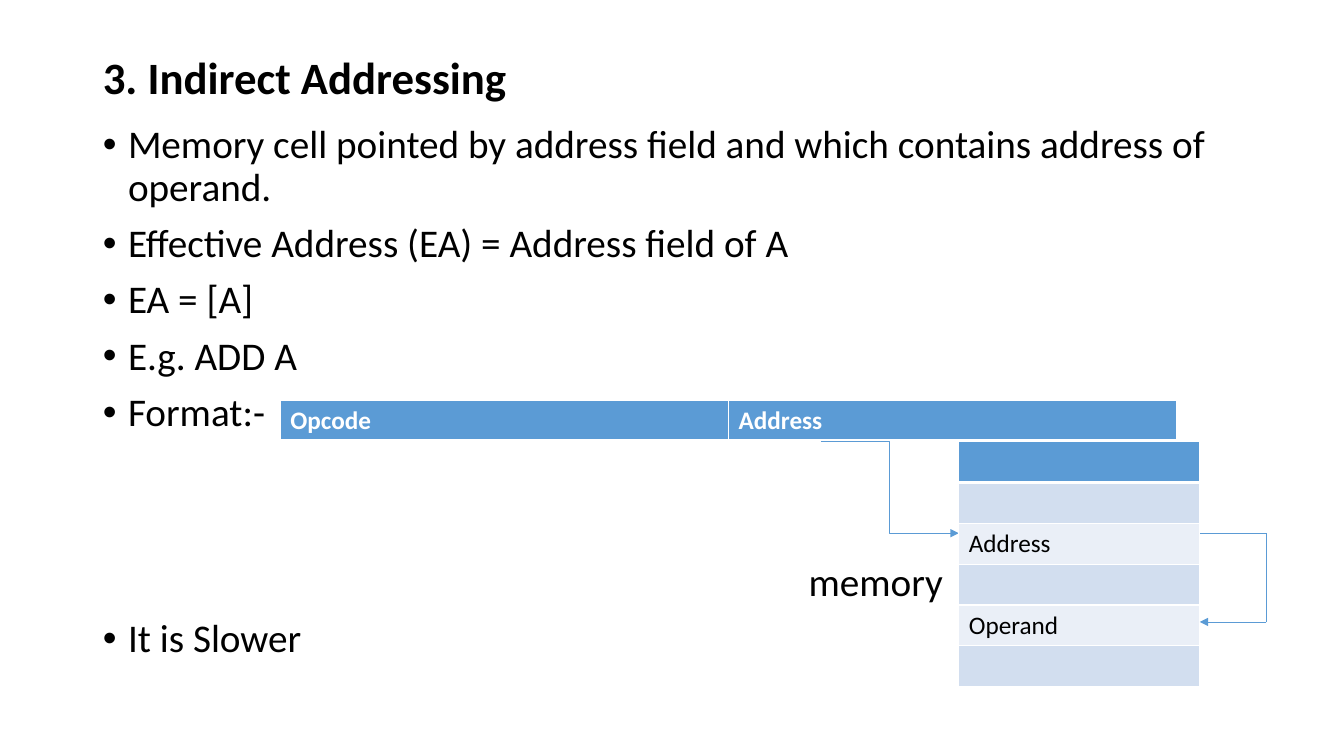
from pptx import Presentation
from pptx.dml.color import RGBColor
from pptx.enum.shapes import MSO_CONNECTOR
from pptx.enum.text import MSO_ANCHOR, MSO_AUTO_SIZE, PP_ALIGN
from pptx.oxml.ns import qn
from pptx.util import Inches, Pt
from lxml.etree import SubElement

SLIDE_WIDTH, SLIDE_HEIGHT = Inches(13.33), Inches(7.5)
FONT = "Calibri"
BLACK = RGBColor(0x00, 0x00, 0x00)
WHITE = RGBColor(0xFF, 0xFF, 0xFF)
BLUE = RGBColor(0x5B, 0x9B, 0xD5)
BANDS = (RGBColor(0xD2, 0xDE, 0xEF), RGBColor(0xEA, 0xEF, 0xF7))

# Positions in percent of the slide's width or height
MARGIN, CONTENT_WIDTH = 6.9, 86.27
TITLE_TOP, TITLE_HEIGHT = 5.33, 10.53
BODY_TOP, BODY_HEIGHT = 15.87, 81.07
FORMAT_LEFT, FORMAT_TOP, FORMAT_WIDTH = 20.86, 52.93, 66.69
MEMORY_LEFT, MEMORY_TOP, MEMORY_WIDTH = 71.34, 58.4, 17.93
MEMORY_RIGHT = MEMORY_LEFT + MEMORY_WIDTH
ROW_HEIGHT = 5.4
POINTER_START, LOOP_RIGHT = 61.07, 94.22
ADDRESS_LEVEL, OPERAND_LEVEL = 70.53, 82.27

# Text, left margin in inches, bullet, space before in points
BODY_LINES = [
    ("Memory cell pointed by address field and which contains address of operand.",
     0.25, True, 0),
    ("Effective Address (EA) = Address field of A", 0.25, True, 10),
    ("EA = [A]", 0.25, True, 10),
    ("E.g. ADD A", 0.25, True, 10),
    ("Format:-", 0.25, True, 10),
    ("memory", 7, False, 91),
    ("It is Slower", 0.25, True, 10),
]
MEMORY_CELLS = ["", "", "Address", "", "Operand", ""]


def across(percent):
    return round(SLIDE_WIDTH * percent / 100)


def down(percent):
    return round(SLIDE_HEIGHT * percent / 100)


def write(para, text, size=18, color=BLACK, bold=False, line_spacing=1.0, before=0):
    para.alignment = PP_ALIGN.LEFT
    para.line_spacing = line_spacing
    para.space_before = Pt(before)
    para.font.size = Pt(size)
    if text:
        span = para.add_run()
        span.text = text
        span.font.name = FONT
        span.font.size = Pt(size)
        span.font.bold = bold
        span.font.color.rgb = color


def set_bullet(para, margin, bullet):
    properties = para._p.get_or_add_pPr()
    properties.set("marL", str(Inches(margin)))
    properties.set("indent", str(Inches(-0.25) if bullet else 0))
    if bullet:
        SubElement(properties, qn("a:buFont")).set("typeface", "Arial")
        SubElement(properties, qn("a:buChar")).set("char", "•")
    else:
        SubElement(properties, qn("a:buNone"))


def place(box, top, height, anchor):
    box.left, box.top = across(MARGIN), down(top)
    box.width, box.height = across(CONTENT_WIDTH), down(height)
    frame = box.text_frame
    frame.word_wrap = True
    frame.auto_size = MSO_AUTO_SIZE.NONE
    frame.vertical_anchor = anchor
    return frame


def set_borders(cell, **widths):
    properties = cell._tc.get_or_add_tcPr()
    for side in "LRTB":
        border = SubElement(properties, qn(f"a:ln{side}"), w=str(Pt(widths.get(side, 1))))
        fill = SubElement(border, qn("a:solidFill"))
        SubElement(fill, qn("a:srgbClr"), val=str(WHITE))


def add_grid(page, rows, left, top, width):
    """Table with a blue heading row and banded rows below it."""
    frame = page.shapes.add_table(len(rows), len(rows[0]), across(left), down(top),
                                  across(width), down(ROW_HEIGHT * len(rows)))
    table = frame.table
    table.horz_banding = False
    table.first_row = False
    for row_number, row in enumerate(rows):
        heading = row_number == 0
        for column_number, text in enumerate(row):
            cell = table.cell(row_number, column_number)
            set_borders(cell, B=3 if heading else 1, T=3 if row_number == 1 else 1)
            cell.fill.solid()
            cell.fill.fore_color.rgb = BLUE if heading else BANDS[(row_number - 1) % 2]
            write(cell.text_frame.paragraphs[0], text,
                  color=WHITE if heading else BLACK, bold=heading)


def add_line(page, start, end, kind=MSO_CONNECTOR.STRAIGHT, arrow=False):
    line = page.shapes.add_connector(kind, across(start[0]), down(start[1]),
                                     across(end[0]), down(end[1]))
    line.line.color.rgb = BLUE
    line.line.width = Pt(0.5)
    if arrow:
        SubElement(line.line._get_or_add_ln(), qn("a:tailEnd"), type="triangle")
    SubElement(line._element.spPr, qn("a:effectLst"))


def main():
    deck = Presentation()
    deck.slide_width, deck.slide_height = SLIDE_WIDTH, SLIDE_HEIGHT
    page = deck.slides.add_slide(deck.slide_layouts[1])

    # Title and list
    title = place(page.shapes.title, TITLE_TOP, TITLE_HEIGHT, MSO_ANCHOR.MIDDLE)
    write(title.paragraphs[0], "3. Indirect Addressing", size=32, bold=True, line_spacing=0.9)
    body = place(page.placeholders[1], BODY_TOP, BODY_HEIGHT, MSO_ANCHOR.TOP)
    for number, (text, margin, bullet, before) in enumerate(BODY_LINES):
        para = body.add_paragraph() if number else body.paragraphs[0]
        set_bullet(para, margin, bullet)
        write(para, text, size=28, line_spacing=0.9, before=before)

    # Instruction format, pointing into memory
    add_grid(page, [["Opcode", "Address"]], FORMAT_LEFT, FORMAT_TOP, FORMAT_WIDTH)
    add_line(page, (POINTER_START, MEMORY_TOP), (MEMORY_LEFT, ADDRESS_LEVEL),
             kind=MSO_CONNECTOR.ELBOW, arrow=True)
    add_grid(page, [[text] for text in MEMORY_CELLS], MEMORY_LEFT, MEMORY_TOP, MEMORY_WIDTH)

    # Loop from the address cell to the operand cell
    loop = [(MEMORY_RIGHT, ADDRESS_LEVEL), (LOOP_RIGHT, ADDRESS_LEVEL),
            (LOOP_RIGHT, OPERAND_LEVEL), (MEMORY_RIGHT, OPERAND_LEVEL)]
    for start, end in zip(loop, loop[1:]):
        add_line(page, start, end, arrow=end == loop[-1])

    deck.save("out.pptx")


if __name__ == "__main__":
    main()
